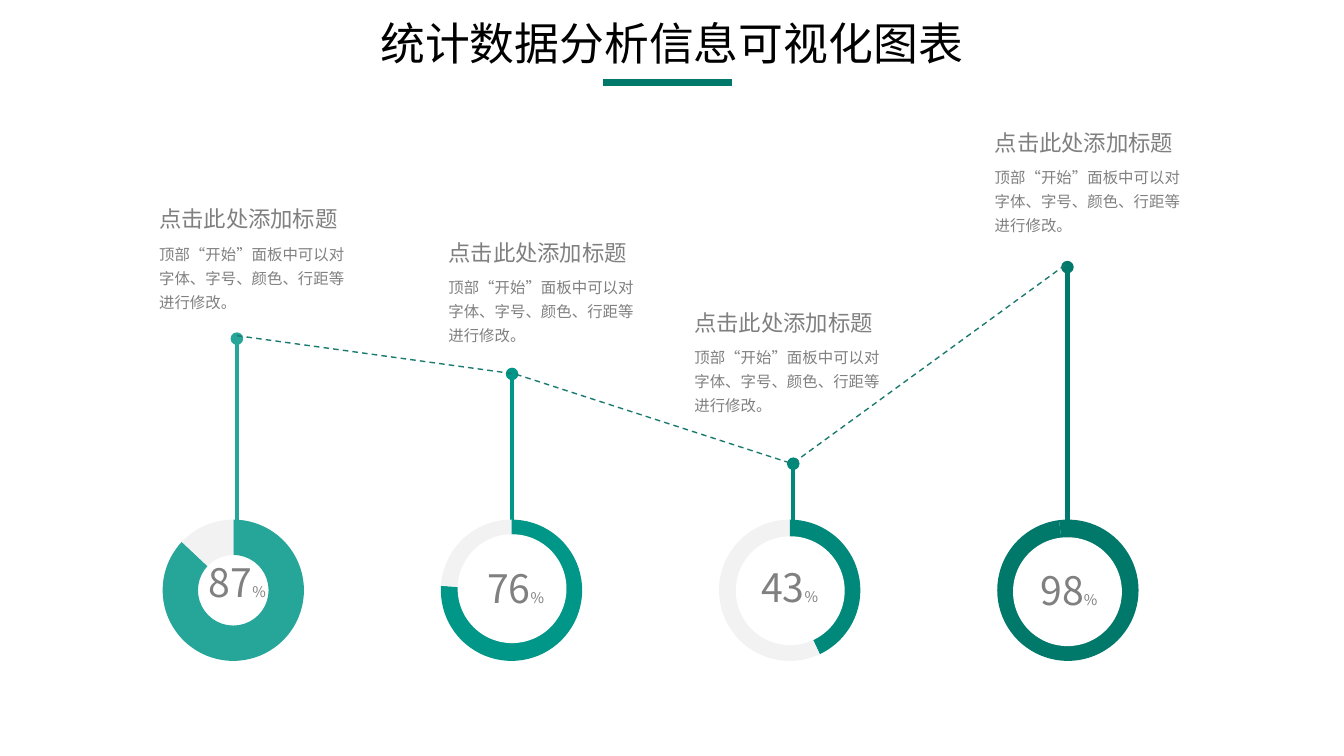
import pptx
import pptx.chart.data
import pptx.dml.color
import pptx.enum.chart
import pptx.enum.dml
import pptx.enum.shapes
import pptx.enum.text
import pptx.oxml
import pptx.oxml.ns
import pptx.util
from lxml import etree

Pt = pptx.util.Pt
qn = pptx.oxml.ns.qn

FONT = "Noto Sans CJK SC"
HEADING = "点击此处添加标题"
BODY = "顶部“开始”面板中可以对字体、字号、颜色、行距等进行修改。"
COLORS = {
    "title": "000000",
    "text": "808080",
    "rest": "F2F2F2",
    "white": "FFFFFF",
    "trend": "1C7A71",
    "mint": "26A599",
    "teal": "009688",
    "green": "00897B",
    "deep": "00786A",
}
RING_LEFT, RING_TOP, RING_STEP = 106.56, 361.44, 198.72
RING_W, RING_H = 120.24, 121.68
STEM_BOTTOM = 395.28
HOLE = 77.76

INDICATORS = [
    dict(value=87, color="mint", rest="rest", stem=(169.2, 241.92),
         number=(31.68, 33.84), hole=None, caption=(106.56, 143.28)),
    dict(value=76, color="teal", rest="rest", stem=(365.76, 267.12),
         number=(31.68, 38.16), hole=(21.6, 20.16), caption=(313.2, 167.04)),
    dict(value=43, color="green", rest="rest", stem=(566.64, 331.2),
         number=(28.8, 37.44), hole=(21.6, 21.6), caption=(488.88, 216.9)),
    dict(value=98, color="deep", rest="deep", stem=(762.48, 190.8),
         number=(29.52, 39.6), hole=(20.88, 22.32), caption=(703.44, 88.56)),
]
TREND = [(169.2, 239.76), (367.92, 267.12), (565.92, 331.2), (761.76, 188.64)]


def rgb(name):
    return pptx.dml.color.RGBColor.from_string(COLORS[name])


def add_text(slide, box, runs, color, align=None, wrap=True, spacing=None):
    sp = slide.shapes.add_textbox(*(Pt(v) for v in box))
    tf = sp.text_frame
    tf.word_wrap = wrap
    tf.auto_size = pptx.enum.text.MSO_AUTO_SIZE.SHAPE_TO_FIT_TEXT
    p = tf.paragraphs[0]
    p.alignment = align
    if spacing:
        p.line_spacing = spacing
    p.font.color.rgb = rgb(color)
    p.font.name = FONT
    etree.SubElement(p._p.pPr.find(qn("a:defRPr")), qn("a:ea"), typeface=FONT)
    for text, size in runs:
        r = p.add_run()
        r.text = text
        if len(runs) > 1:
            r.font.size = Pt(size)
        else:
            p.font.size = Pt(size)


def add_line(slide, start, end, color, width, oval=False):
    line = slide.shapes.add_connector(
        pptx.enum.shapes.MSO_CONNECTOR.STRAIGHT,
        *(Pt(v) for v in (*start, *end)))
    line.line.color.rgb = rgb(color)
    line.line.width = Pt(width)
    if oval:
        etree.SubElement(line.line._get_or_add_ln(), qn("a:headEnd"), type="oval")
    etree.SubElement(line._element.spPr, qn("a:effectLst"))


def add_title(slide, left, top, width, height):
    add_text(slide, (left, top, width, height), [("统计数据分析信息可视化图表", 32)],
             "title", pptx.enum.text.PP_ALIGN.CENTER)
    middle, y = left + width / 2 - 3.24, top + 51.12
    add_line(slide, (middle - 46, y), (middle + 46, y), "deep", 5)


def set_plot_layout(chart):
    plot_area = chart._chartSpace.chart.plotArea
    old = plot_area.find(qn("c:layout"))
    if old is not None:
        plot_area.remove(old)
    layout = etree.Element(qn("c:layout"))
    manual = etree.SubElement(layout, qn("c:manualLayout"))
    settings = [("layoutTarget", "inner"), ("xMode", "edge"), ("yMode", "edge"),
                ("x", "0.08"), ("y", "0.08"), ("w", "0.84"), ("h", "0.83")]
    for tag, val in settings:
        etree.SubElement(manual, qn("c:" + tag), val=val)
    plot_area.insert(0, layout)


def add_ring(slide, left, top, item):
    data = pptx.chart.data.CategoryChartData()
    data.categories = ["1", "2"]
    data.add_series("Series 1", (item["value"], 100 - item["value"]))
    chart = slide.shapes.add_chart(
        pptx.enum.chart.XL_CHART_TYPE.DOUGHNUT,
        Pt(left), Pt(top), Pt(RING_W), Pt(RING_H), data).chart
    chart.has_legend = False
    chart.has_title = False
    chart.font.size = Pt(10)
    chart.font.name = FONT
    chart.font.color.rgb = rgb("title")
    plot = chart.plots[0]
    plot.vary_by_categories = False
    plot._element.find(qn("c:holeSize")).set("val", "75")
    for i, name in enumerate((item["color"], item["rest"])):
        fmt = plot.series[0].points[i].format
        fmt.fill.solid()
        fmt.fill.fore_color.rgb = rgb(name)
        fmt.line.fill.background()
    set_plot_layout(chart)

    if item["hole"]:
        dx, dy = item["hole"]
        sp = slide.shapes.add_shape(
            pptx.enum.shapes.MSO_SHAPE.OVAL,
            Pt(left + dx), Pt(top + dy), Pt(HOLE), Pt(HOLE))
        sp.shadow.inherit = False
        sp.fill.solid()
        sp.fill.fore_color.rgb = rgb("white")
        sp.line.fill.background()

    dx, dy = item["number"]
    add_text(slide, (left + dx, top + dy, 62.64, 41.04),
             [(str(item["value"]), 28), ("%", 10.5)], "text",
             pptx.enum.text.PP_ALIGN.CENTER)


def add_trend(slide, points):
    start, *rest = [(Pt(x), Pt(y)) for x, y in points]
    builder = slide.shapes.build_freeform(*start)
    builder.add_line_segments(rest, close=False)
    sp = builder.convert_to_shape()
    sp.shadow.inherit = False
    sp.fill.background()
    sp.line.color.rgb = rgb("trend")
    sp.line.width = Pt(1)
    sp.line.dash_style = pptx.enum.dml.MSO_LINE.DASH


def add_caption(slide, left, top):
    add_text(slide, (left, top + 24, 149.76, 59.76), [(BODY, 11)], "text", spacing=1.3)
    add_text(slide, (left, top, 149.76, 27.36), [(HEADING, 16)], "text", wrap=False)


def main():
    prs = pptx.Presentation()
    prs.slide_width, prs.slide_height = Pt(960), Pt(540)
    slide = prs.slides.add_slide(prs.slide_layouts[6])
    add_title(slide, 256.32, 7.92, 447.12, 46.08)
    for item in INDICATORS:
        x, y = item["stem"]
        add_line(slide, (x, y), (x, STEM_BOTTOM), item["color"], 3, oval=True)
    for i, item in enumerate(INDICATORS):
        add_ring(slide, RING_LEFT + i * RING_STEP, RING_TOP, item)
    add_trend(slide, TREND)
    for item in INDICATORS:
        add_caption(slide, *item["caption"])
    prs.save("out.pptx")


if __name__ == "__main__":
    main()
